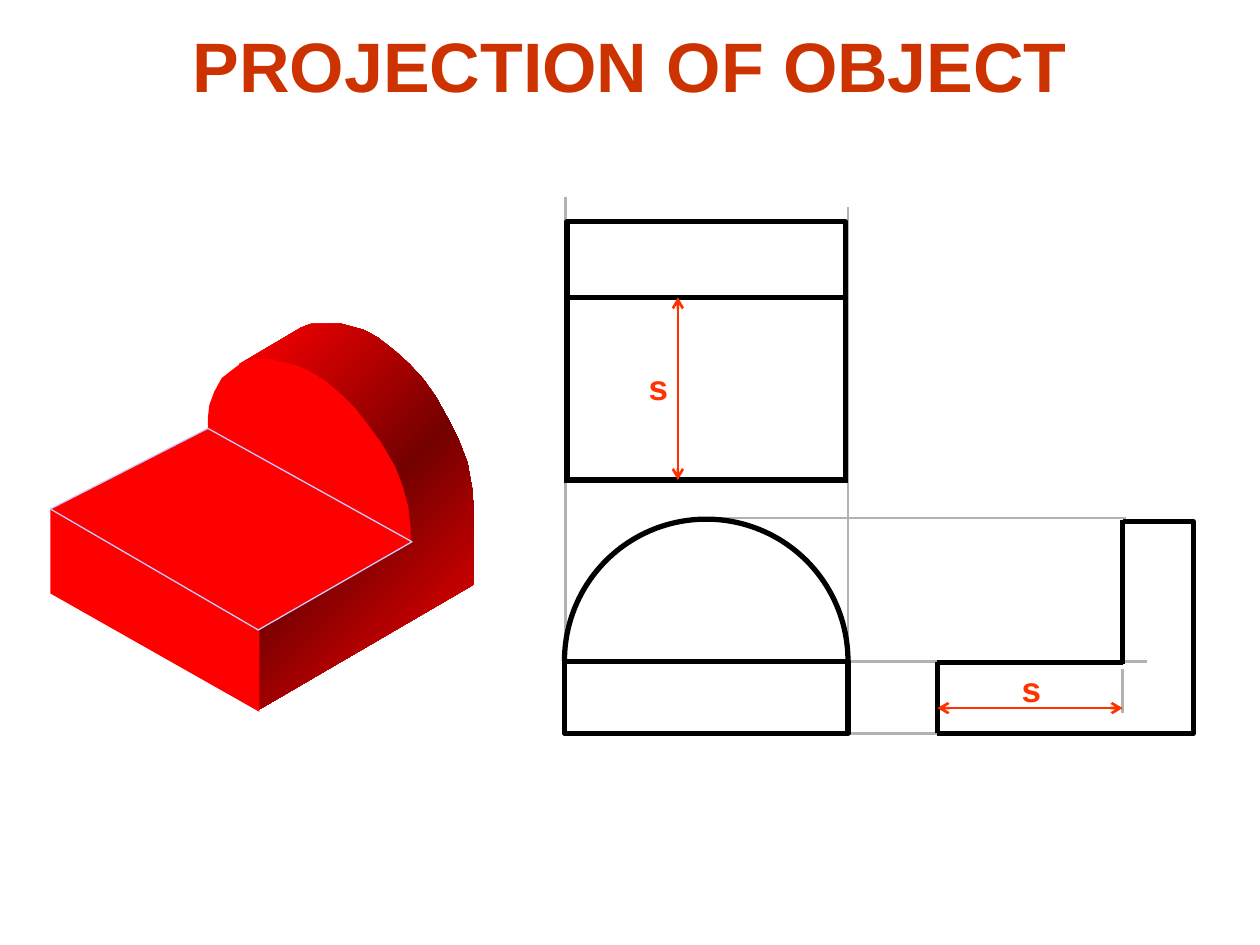
from copy import deepcopy
from dataclasses import dataclass
from typing import Optional

from pptx import Presentation
from pptx.dml.color import RGBColor
from pptx.enum.shapes import MSO_CONNECTOR as Connector, MSO_SHAPE as Preset
from pptx.enum.text import MSO_AUTO_SIZE as AutoSize, PP_ALIGN as Align
from pptx.oxml.ns import qn
from pptx.util import Inches, Pt

BLACK, GUIDE, DIMENSION, RED = "000000", "B2B2B2", "FF3300", "FF0000"
LEFT, RIGHT, CENTRE = 4.48, 6.73, 5.61
ARCH_TOP, STEP, BASE = 4.12, 5.25, 5.82
PLAN_LEFT, PLAN_RIGHT, PLAN_TOP, PLAN_STEP, PLAN_BASE = 4.5, 6.71, 1.76, 2.36, 3.81
SIDE_LEFT, SIDE_STEP, SIDE_RIGHT = 7.44, 8.91, 9.47


@dataclass
class Line:
    start: tuple
    end: tuple
    color: str = BLACK
    width: float = 3
    arrows: bool = False


@dataclass
class Outline:
    points: list
    fill: Optional[str] = None
    line: Optional[str] = None
    width: float = 3
    closed: bool = True
    shade: Optional[str] = None


@dataclass
class Label:
    text: str
    box: tuple
    size: float
    color: str
    align: Align = Align.LEFT


def rgb(color: str) -> RGBColor:
    return RGBColor.from_string(color)


def set_line(shape, color: Optional[str], width: float) -> None:
    if color is None:
        shape.line.fill.background()
        return
    shape.line.color.rgb = rgb(color)
    shape.line.width = Pt(width)


def draw_line(slide, line: Line) -> None:
    ends = [Inches(value) for value in line.start + line.end]
    connector = slide.shapes.add_connector(Connector.STRAIGHT, *ends)
    set_line(connector, line.color, line.width)
    properties = connector._element.spPr
    if line.arrows:
        stroke = connector.line._get_or_add_ln()
        for tag in ("a:headEnd", "a:tailEnd"):
            stroke.makeelement(qn(tag), {})
            end = stroke.makeelement(qn(tag), {"type": "arrow"})
            stroke.append(end)
    properties.append(properties.makeelement(qn("a:effectLst"), {}))


def fill_gradient(shape, edge: str, middle: str) -> None:
    shape.fill.gradient()
    shape.fill.gradient_angle = 135
    stop_list = shape._element.spPr.find(".//" + qn("a:gsLst"))
    stop_list.insert(1, deepcopy(stop_list[0]))
    stops = zip(shape.fill.gradient_stops, (0, 0.5, 1), (edge, middle, edge))
    for stop, position, color in stops:
        stop.position = position
        stop.color.rgb = rgb(color)


def draw_outline(slide, outline: Outline) -> None:
    points = [(Inches(x), Inches(y)) for x, y in outline.points]
    builder = slide.shapes.build_freeform(*points[0])
    builder.add_line_segments(points[1:], close=outline.closed)
    shape = builder.convert_to_shape()
    shape.shadow.inherit = False
    if outline.shade:
        fill_gradient(shape, outline.fill, outline.shade)
    elif outline.fill:
        shape.fill.solid()
        shape.fill.fore_color.rgb = rgb(outline.fill)
    else:
        shape.fill.background()
    set_line(shape, outline.line, outline.width)


def draw_preset(slide, preset: Preset, box: tuple, angles: tuple = ()) -> None:
    shape = slide.shapes.add_shape(preset, *map(Inches, box))
    for index, angle in enumerate(angles):
        shape.adjustments[index] = angle * 0.6
    shape.shadow.inherit = False
    shape.fill.background()
    set_line(shape, BLACK, 3)


def draw_label(slide, label: Label) -> None:
    frame = slide.shapes.add_textbox(*map(Inches, label.box)).text_frame
    frame.word_wrap = False
    frame.auto_size = AutoSize.SHAPE_TO_FIT_TEXT
    paragraph = frame.paragraphs[0]
    paragraph.alignment = label.align
    run = paragraph.add_run()
    run.text = label.text
    for name, value in {"name": "Arial", "size": Pt(label.size), "bold": True}.items():
        setattr(run.font, name, value)
    run.font.color.rgb = rgb(label.color)


SOLID = [
    Outline([(1.9, 2.89), (2.39, 2.6), (2.47, 2.57), (2.71, 2.57), (2.89, 2.62),
             (3, 2.68), (3.14, 2.79), (3.25, 2.89), (3.36, 3.01), (3.46, 3.15),
             (3.56, 3.33), (3.64, 3.49), (3.71, 3.67), (3.75, 3.89), (3.76, 4.06),
             (3.76, 4.64), (2.06, 5.63), (2.06, 4.98), (3.26, 4.29), (3.26, 4.17),
             (3.23, 4.03), (3.18, 3.87), (3.12, 3.72), (3.04, 3.57), (2.96, 3.43),
             (2.86, 3.31), (2.74, 3.17), (2.62, 3.06), (2.47, 2.96), (2.36, 2.9),
             (2.21, 2.88), (2.08, 2.86), (1.98, 2.86)], RED, shade="750000"),
    Outline([(2.06, 5.65), (2.06, 4.99), (0.4, 4.03), (0.4, 4.71)], RED),
    Outline([(3.26, 4.3), (3.26, 4.19), (3.24, 4.02), (3.2, 3.87), (3.14, 3.71),
             (3.03, 3.52), (2.92, 3.37), (2.82, 3.24), (2.72, 3.14), (2.58, 3.02),
             (2.43, 2.93), (2.28, 2.88), (2.14, 2.85), (2.02, 2.85), (1.93, 2.87),
             (1.85, 2.93), (1.76, 3), (1.7, 3.11), (1.66, 3.22), (1.65, 3.32),
             (1.65, 3.4)], RED),
    Outline([(2.05, 5), (3.27, 4.3), (1.65, 3.4), (0.4, 4.04)], RED, "CCCCFF", 0.75),
]
GUIDES = [
    Line(start, end, GUIDE, 1.5) for start, end in [
        ((4.49, 5.28), (4.49, 1.56)),
        ((RIGHT, 5.35), (RIGHT, 1.64)),
        ((6.58, BASE), (7.66, BASE)),
        ((6.6, STEP), (9.1, STEP)),
        ((5.57, 4.11), (8.94, 4.11)),
        ((SIDE_STEP, 5.31), (SIDE_STEP, 5.66)),
    ]
]
EDGES = [
    Line((LEFT, STEP), (RIGHT, STEP)),
    Line((LEFT, PLAN_BASE), (RIGHT, PLAN_BASE)),
    Line((PLAN_LEFT, PLAN_STEP), (PLAN_RIGHT, PLAN_STEP)),
    Line((PLAN_LEFT, PLAN_STEP), (PLAN_LEFT, PLAN_BASE)),
    Line((PLAN_RIGHT, PLAN_STEP), (PLAN_RIGHT, PLAN_BASE)),
    Line((SIDE_LEFT, BASE), (SIDE_LEFT, STEP)),
    Line((SIDE_LEFT, 5.26), (SIDE_STEP, 5.26)),
    Line((SIDE_STEP, 4.13), (SIDE_STEP, 5.27)),
]
DIMENSIONS = [
    Line((5.38, PLAN_BASE), (5.38, PLAN_STEP), DIMENSION, 1.5, True),
    Line((SIDE_LEFT, 5.62), (SIDE_STEP, 5.62), DIMENSION, 1.5, True),
]
PROFILES = [
    Outline([(SIDE_STEP, 4.14), (SIDE_RIGHT, 4.14), (SIDE_RIGHT, BASE),
             (SIDE_LEFT, BASE)], line=BLACK, closed=False),
    Outline([(PLAN_LEFT, PLAN_STEP), (PLAN_LEFT, PLAN_TOP), (PLAN_RIGHT, PLAN_TOP),
             (PLAN_RIGHT, PLAN_STEP)], line=BLACK, closed=False),
]
LABELS = [
    Label("s", (5.05, 2.85, 0.35, 0.44), 20, DIMENSION),
    Label("s", (8.01, 5.25, 0.35, 0.44), 20, DIMENSION),
    Label("PROJECTION OF OBJECT", (1.43, 0.13, 7.14, 0.77), 40, "CC3300", Align.CENTER),
]


def main() -> None:
    """Build the slide of a solid and its three projected views."""
    presentation = Presentation()
    presentation.slide_width, presentation.slide_height = Inches(10), Inches(7.5)
    slide = presentation.slides.add_slide(presentation.slide_layouts[6])
    for outline in SOLID:
        draw_outline(slide, outline)
    for line in GUIDES:
        draw_line(slide, line)
    width = RIGHT - LEFT
    draw_preset(slide, Preset.RECTANGLE, (LEFT, STEP, width, BASE - STEP))
    draw_preset(slide, Preset.ARC, (LEFT, ARCH_TOP, width, width), (180, 0))
    for line in EDGES + DIMENSIONS:
        draw_line(slide, line)
    for outline in PROFILES:
        draw_outline(slide, outline)
    for label in LABELS:
        draw_label(slide, label)
    presentation.save("out.pptx")


if __name__ == "__main__":
    main()
